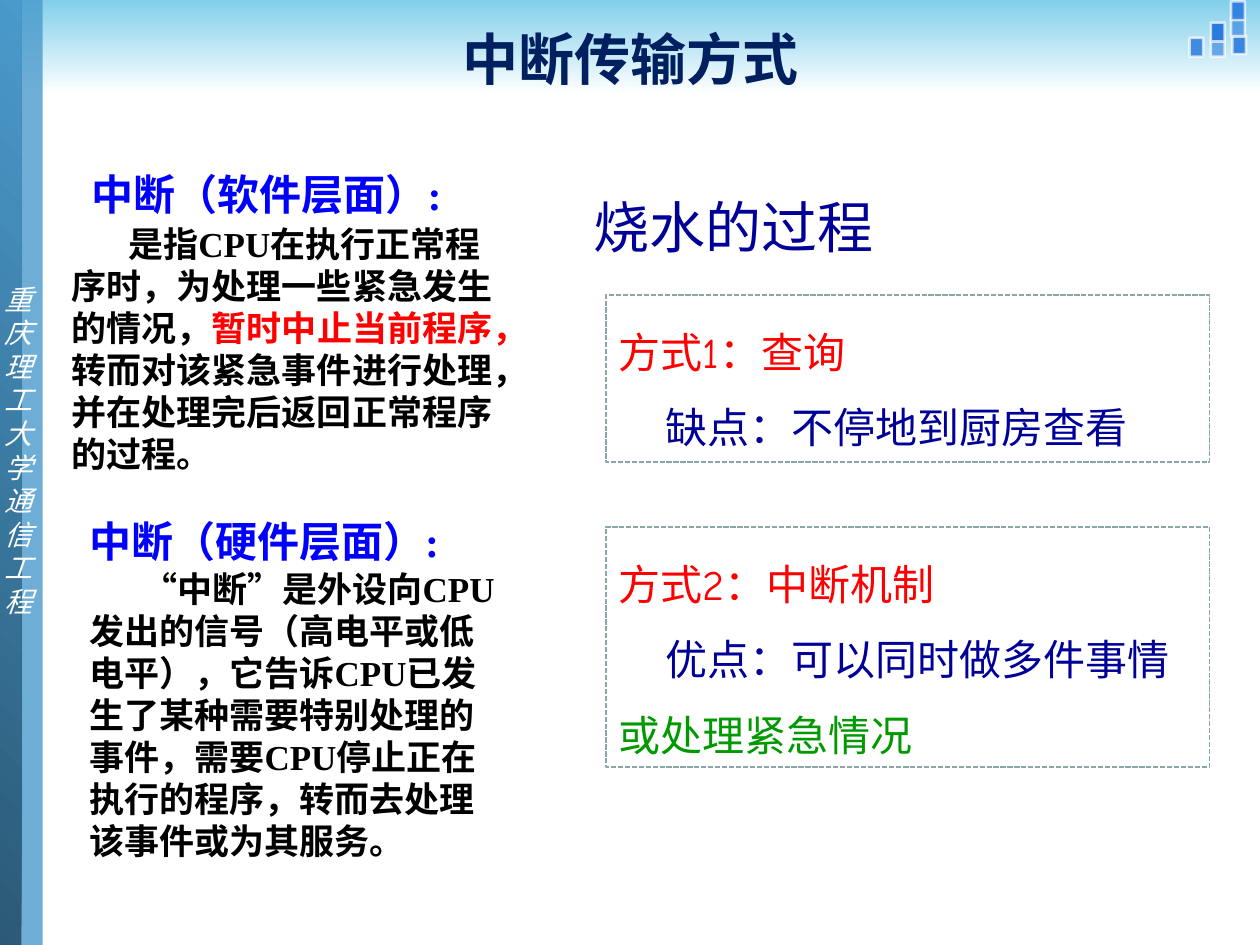
import pptx
import pptx.util
import pptx.dml.color
import pptx.enum.dml
import pptx.enum.shapes
import pptx.enum.text
import pptx.oxml
import pptx.oxml.ns
from pptx.util import Inches

THEME = {
    "latin": "Times New Roman", "casual": "Comic Neue", "side": "Arial",
    "title_size": 32, "heading_size": 24, "body_size": 20, "side_size": 16,
    "navy": "002060", "blue": "0000FF", "indigo": "000099", "red": "FF0000",
    "green": "009900", "black": "000000", "white": "FFFFFF",
    "sky": "81CFEB", "steel": "4A9ACC", "deep": "2B5976",
    "square": "297CDD", "border": "8AA6A8",
}

TITLE = "中断传输方式"
SIDE_LABEL = "重庆理工大学通信工程"
EXAMPLE = "烧水的过程"

# Each paragraph: first-line indent, space before (pt), size, runs of (text, colour)
SOFTWARE = [
    (0.16, 0, "heading_size", [("中断（软件层面）:", "blue")]),
    (0.45, 2, "body_size", [
        ("是指CPU在执行正常程序时，为处理一些紧急发生的情况，", "black"),
        ("暂时中止当前程序，", "red"),
        ("转而对该紧急事件进行处理，并在处理完后返回正常程序的过程。", "black")]),
]
HARDWARE = [
    (0, 0, "heading_size", [("中断（硬件层面）:", "blue")]),
    (0.42, 1, "body_size", [
        ("“中断”是外设向CPU发出的信号（高电平或低电平），它告诉CPU已发生了某种需要特别处理的事件，"
         "需要CPU停止正在执行的程序，转而去处理该事件或为其服务。", "black")]),
]
# Each method: top, height, paragraphs
METHODS = [
    (2.34, 1.33, [
        (0, 0, "heading_size", [("方式1：查询", "red")]),
        (0.37, 0, "heading_size", [("缺点：不停地到厨房查看", "indigo")])]),
    (4.18, 1.91, [
        (0, 0, "heading_size", [("方式2：中断机制", "red")]),
        (0.37, 0, "heading_size", [("优点：可以同时做多件事情", "indigo"),
                                   ("或处理紧急情况", "green")])]),
]
# Corner squares: left, top, opacity in percent
SQUARES = [(9.78, 0.28, 90), (9.61, 0.3, 60), (9.44, 0.3, 85),
           (9.61, 0.18, 100), (9.77, 0.14, 60), (9.77, 0.01, 90)]


def rgb(name):
    return pptx.dml.color.RGBColor.from_string(THEME[name])


def set_opacity(fill, percent):
    colour = fill._xPr.find(".//" + pptx.oxml.ns.qn("a:srgbClr"))
    alpha = pptx.oxml.parse_xml(
        f'<a:alpha {pptx.oxml.ns.nsdecls("a")} val="{percent * 1000}"/>')
    colour.append(alpha)


def paint(fill, colour, opacity=100):
    fill.solid()
    fill.fore_color.rgb = rgb(colour)
    if opacity < 100:
        set_opacity(fill, opacity)


def paint_gradient(fill, start, end, angle):
    """Blend start to end; angle runs anticlockwise from left-to-right."""
    fill.gradient()
    fill.gradient_angle = angle
    for stop, position, colour in zip(fill.gradient_stops, (0, 1), (start, end)):
        stop.position = position
        stop.color.rgb = rgb(colour)


def add_rectangle(slide, left, top, width, height):
    rectangle = slide.shapes.add_shape(
        pptx.enum.shapes.MSO_SHAPE.RECTANGLE,
        Inches(left), Inches(top), Inches(width), Inches(height))
    rectangle.shadow.inherit = False
    rectangle.line.fill.background()
    return rectangle


def write(frame, paragraphs, font, bold=False, italic=False, spacing=None,
          align=pptx.enum.text.PP_ALIGN.LEFT):
    frame.word_wrap = True
    for index, (indent, before, size, runs) in enumerate(paragraphs):
        paragraph = frame.add_paragraph() if index else frame.paragraphs[0]
        paragraph.alignment = align
        if indent:
            paragraph._p.get_or_add_pPr().set("indent", str(Inches(indent)))
        if before:
            paragraph.space_before = pptx.util.Pt(before)
        if spacing:
            paragraph.line_spacing = spacing
        for text, colour in runs:
            run = paragraph.add_run()
            run.text = text
            run.font.name = THEME[font]
            run.font.size = pptx.util.Pt(THEME[size])
            run.font.bold = bold
            run.font.italic = italic
            run.font.color.rgb = rgb(colour)


def add_text(slide, box, paragraphs, font, **style):
    frame = slide.shapes.add_textbox(*map(Inches, box)).text_frame
    write(frame, paragraphs, font, **style)
    return frame


def add_background(slide):
    band = add_rectangle(slide, 0, 0, 10, 0.75)
    paint_gradient(band.fill, "sky", "white", 270)
    for left, top, opacity in SQUARES:
        square = add_rectangle(slide, left, top, 0.11, 0.15)
        paint(square.fill, "square", opacity)
        paint(square.line.fill, "white", 70)
        square.line.width = pptx.util.Pt(1.5)
    light_bar = add_rectangle(slide, 0.11, 0, 0.23, 7.5)
    paint(light_bar.fill, "steel", 80)
    dark_bar = add_rectangle(slide, -0.01, 0, 0.18, 7.53)
    paint_gradient(dark_bar.fill, "deep", "steel", 45)
    add_text(slide, (-0.06, 2.19, 0.53, 2.79),
             [(0, 0, "side_size", [(SIDE_LABEL, "white")])], "side", italic=True)


def add_method(slide, top, height, paragraphs):
    panel = add_rectangle(slide, 4.81, top, 4.79, height)
    panel.fill.background()
    paint(panel.line.fill, "border")
    panel.line.width = pptx.util.Pt(1)
    panel.line.dash_style = pptx.enum.dml.MSO_LINE.SQUARE_DOT
    panel.text_frame.vertical_anchor = pptx.enum.text.MSO_ANCHOR.TOP
    write(panel.text_frame, paragraphs, "casual", spacing=1.5)


def main():
    deck = pptx.Presentation()
    deck.slide_width, deck.slide_height = Inches(10), Inches(7.5)
    slide = deck.slides.add_slide(deck.slide_layouts[6])

    add_background(slide)
    add_text(slide, (0.47, 1.29, 3.7, 3.31), SOFTWARE, "latin", bold=True)
    for top, height, paragraphs in METHODS:
        add_method(slide, top, height, paragraphs)
    add_text(slide, (0.61, 4.04, 3.43, 2.88), HARDWARE, "latin", bold=True)
    add_text(slide, (4.61, 1.48, 3.53, 0.69),
             [(0, 0, "title_size", [(EXAMPLE, "indigo")])], "casual")
    title = add_text(slide, (1.24, 0.11, 7.53, 0.7),
                     [(0, 0, "title_size", [(TITLE, "navy")])], "casual",
                     bold=True, align=pptx.enum.text.PP_ALIGN.CENTER)
    title.vertical_anchor = pptx.enum.text.MSO_ANCHOR.MIDDLE

    deck.save("out.pptx")


if __name__ == "__main__":
    main()
